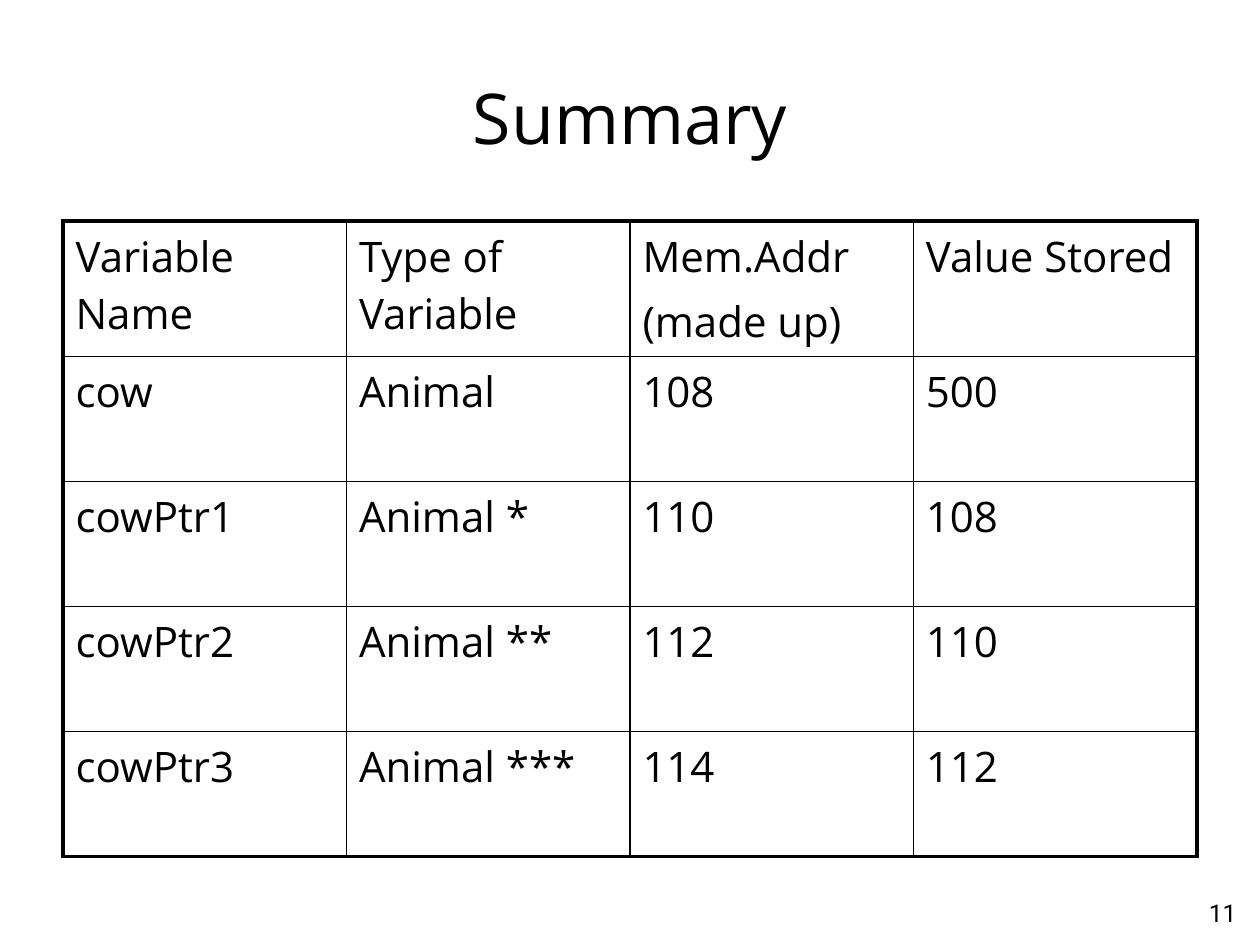
from dataclasses import dataclass

from lxml.etree import SubElement
from pptx import Presentation
from pptx.dml.color import RGBColor
from pptx.enum.text import MSO_ANCHOR, PP_ALIGN
from pptx.oxml.ns import qn
from pptx.util import Emu, Pt


@dataclass
class Theme:
    ink: str = "000000"
    font: str = "Open Sans"
    number_font: str = "Roboto"
    title_size: float = 40
    cell_size: float = 24
    number_size: float = 14
    paragraph_gap: float = 4.8
    outer_border: float = 2.25
    inner_border: float = 1


theme = Theme()
SCALE = 914400 // 126


def box(*pixels):
    return [Emu(value * SCALE) for value in pixels]


def style(paragraph, font_name, size, alignment):
    paragraph.alignment = alignment
    paragraph.font.name = font_name
    paragraph.font.size = Pt(size)
    paragraph.font.color.rgb = RGBColor.from_string(theme.ink)


presentation = Presentation()
presentation.slide_width, presentation.slide_height = box(1260, 945)
slide = presentation.slides.add_slide(presentation.slide_layouts[5])

title = slide.shapes.title
title.left, title.top, title.width, title.height = box(63, 38, 1134, 157)
title.text_frame.text = "Summary"
title.text_frame.vertical_anchor = MSO_ANCHOR.MIDDLE
style(title.text_frame.paragraphs[0], theme.font, theme.title_size, PP_ALIGN.CENTER)

rows = [
    ["Variable Name", "Type of Variable", "Mem.Addr\n(made up)", "Value Stored"],
    ["cow", "Animal", "108", "500"],
    ["cowPtr1", "Animal *", "110", "108"],
    ["cowPtr2", "Animal **", "112", "110"],
    ["cowPtr3", "Animal ***", "114", "112"],
]
last_row, last_column = len(rows) - 1, len(rows[0]) - 1
table = slide.shapes.add_table(len(rows), len(rows[0]), *box(63, 221, 1134, 635)).table
table.first_row = table.horz_banding = False
for row_index, values in enumerate(rows):
    table.rows[row_index].height = Emu((125 if row_index else 135) * SCALE)
    for column_index, value in enumerate(values):
        cell = table.cell(row_index, column_index)
        cell.text = value
        for index, paragraph in enumerate(cell.text_frame.paragraphs):
            is_type_header = (row_index, column_index) == (0, 1)
            alignment = PP_ALIGN.LEFT if is_type_header else PP_ALIGN.JUSTIFY
            style(paragraph, theme.font, theme.cell_size, alignment)
            if index:
                paragraph.space_before = Pt(theme.paragraph_gap)
        properties = cell._tc.get_or_add_tcPr()
        outer_sides = {
            "a:lnL": column_index == 0,
            "a:lnR": column_index == last_column,
            "a:lnT": row_index == 0,
            "a:lnB": row_index == last_row,
        }
        for side, is_outer in outer_sides.items():
            width = Pt(theme.outer_border if is_outer else theme.inner_border)
            border = SubElement(properties, qn(side), w=str(width))
            SubElement(SubElement(border, qn("a:solidFill")), qn("a:srgbClr"), val=theme.ink)
        cell.fill.background()

number = slide.shapes.add_textbox(*box(987, 892, 262, 47))
number.text_frame.word_wrap = True
number.text_frame.text = "11"
style(number.text_frame.paragraphs[0], theme.number_font, theme.number_size, PP_ALIGN.RIGHT)

presentation.save("out.pptx")
